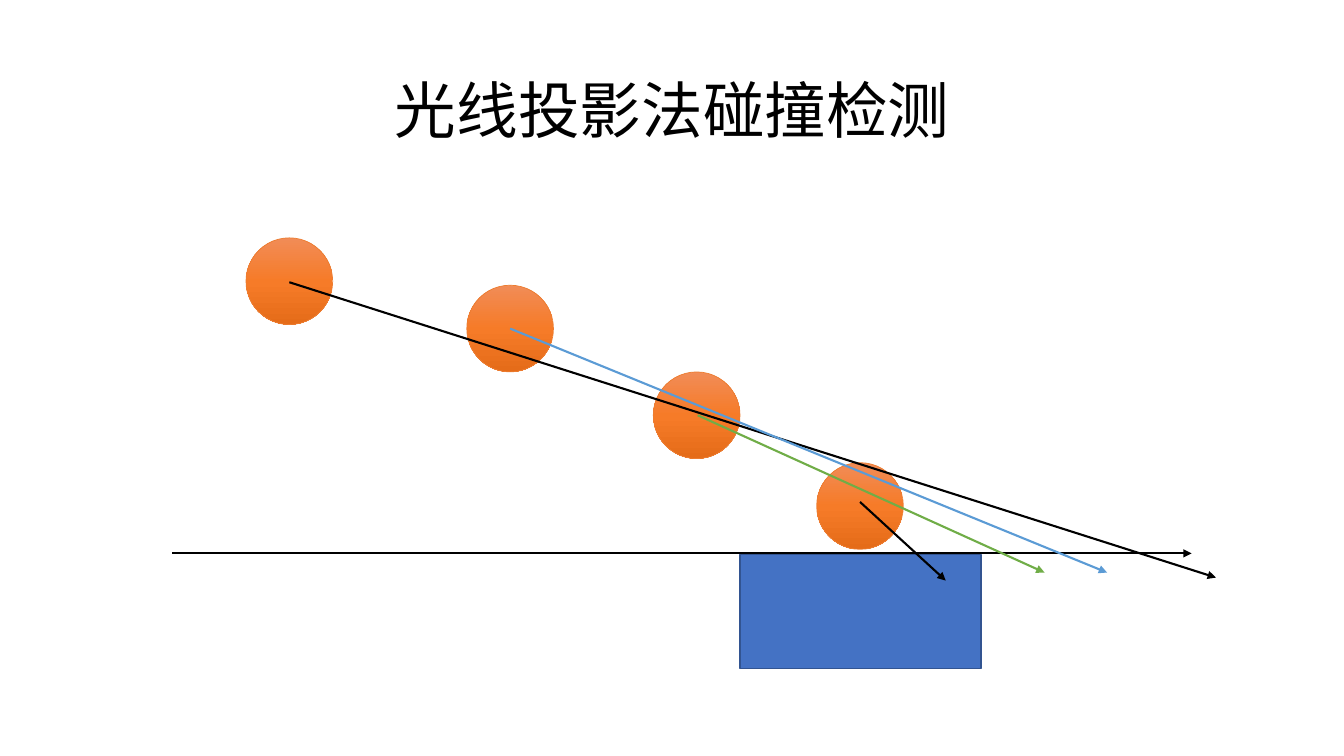
from copy import deepcopy
from lxml import etree
from pptx import Presentation
from pptx.dml.color import RGBColor
from pptx.enum import shapes, text
from pptx.oxml import ns
from pptx.util import Pt

PX = 9144
FONT = "Noto Sans CJK SC"
HUES = {
    "black": "000000", "white": "FFFFFF", "box": "4472C4", "edge": "325491",
    "top": "F18C57", "mid": "F67B28", "low": "E56C19", "rim": "ED7D31",
    "blue": "5B9BD5", "green": "70AD47",
}


def hue(name):
    return RGBColor.from_string(HUES[name])


def add_form(kind, left, top, width, height, rim, weight):
    form = slide.shapes.add_shape(kind, left * PX, top * PX, width * PX, height * PX)
    form.shadow.inherit = False
    form.line.color.rgb = hue(rim)
    form.line.width = Pt(weight)
    return form


deck = Presentation()
deck.slide_width = 1333 * PX
deck.slide_height = 750 * PX
slide = deck.slides.add_slide(deck.slide_layouts[5])
slide.background.fill.solid()
slide.background.fill.fore_color.rgb = hue("white")

title = slide.shapes.title
title.left, title.top, title.width, title.height = 92 * PX, 40 * PX, 1150 * PX, 145 * PX
frame = title.text_frame
frame.word_wrap = True
frame.vertical_anchor = text.MSO_ANCHOR.MIDDLE
para = frame.paragraphs[0]
para.alignment = text.PP_ALIGN.CENTER
para.line_spacing = 0.9
run = para.add_run()
run.text = "光线投影法碰撞检测"
run.font.size = Pt(44)
run.font.name = FONT
run.font.color.rgb = hue("black")
etree.SubElement(run.font._element, ns.qn("a:ea"), typeface=FONT)

box = add_form(shapes.MSO_SHAPE.RECTANGLE, 734, 550, 239, 113, "edge", 1)
box.fill.solid()
box.fill.fore_color.rgb = hue("box")

for left, top in [(244, 236), (463, 283), (648, 369), (810, 459)]:
    ball = add_form(shapes.MSO_SHAPE.OVAL, left, top, 86, 86, "rim", 0.5)
    ball.fill.gradient()
    ball.fill.gradient_angle = 270
    stops = ball._element.spPr.find(".//" + ns.qn("a:gsLst"))
    stops.insert(1, deepcopy(stops[0]))
    for stop, name, place in zip(ball.fill.gradient_stops, ("top", "mid", "low"), (0, 0.5, 1)):
        stop.color.rgb = hue(name)
        stop.position = place

rays = [
    (171, 549, 1182, 549, "black"),
    (287, 280, 1206, 573, "black"),
    (506, 326, 1098, 568, "blue"),
    (692, 412, 1036, 568, "green"),
    (853, 498, 938, 576, "black"),
]
for x1, y1, x2, y2, name in rays:
    ray = slide.shapes.add_connector(
        shapes.MSO_CONNECTOR.STRAIGHT, x1 * PX, y1 * PX, x2 * PX, y2 * PX)
    ray.line.color.rgb = hue(name)
    ray.line.width = Pt(1.5)
    etree.SubElement(ray.line._get_or_add_ln(), ns.qn("a:tailEnd"), type="triangle")
    etree.SubElement(ray._element.spPr, ns.qn("a:effectLst"))

deck.save("out.pptx")
